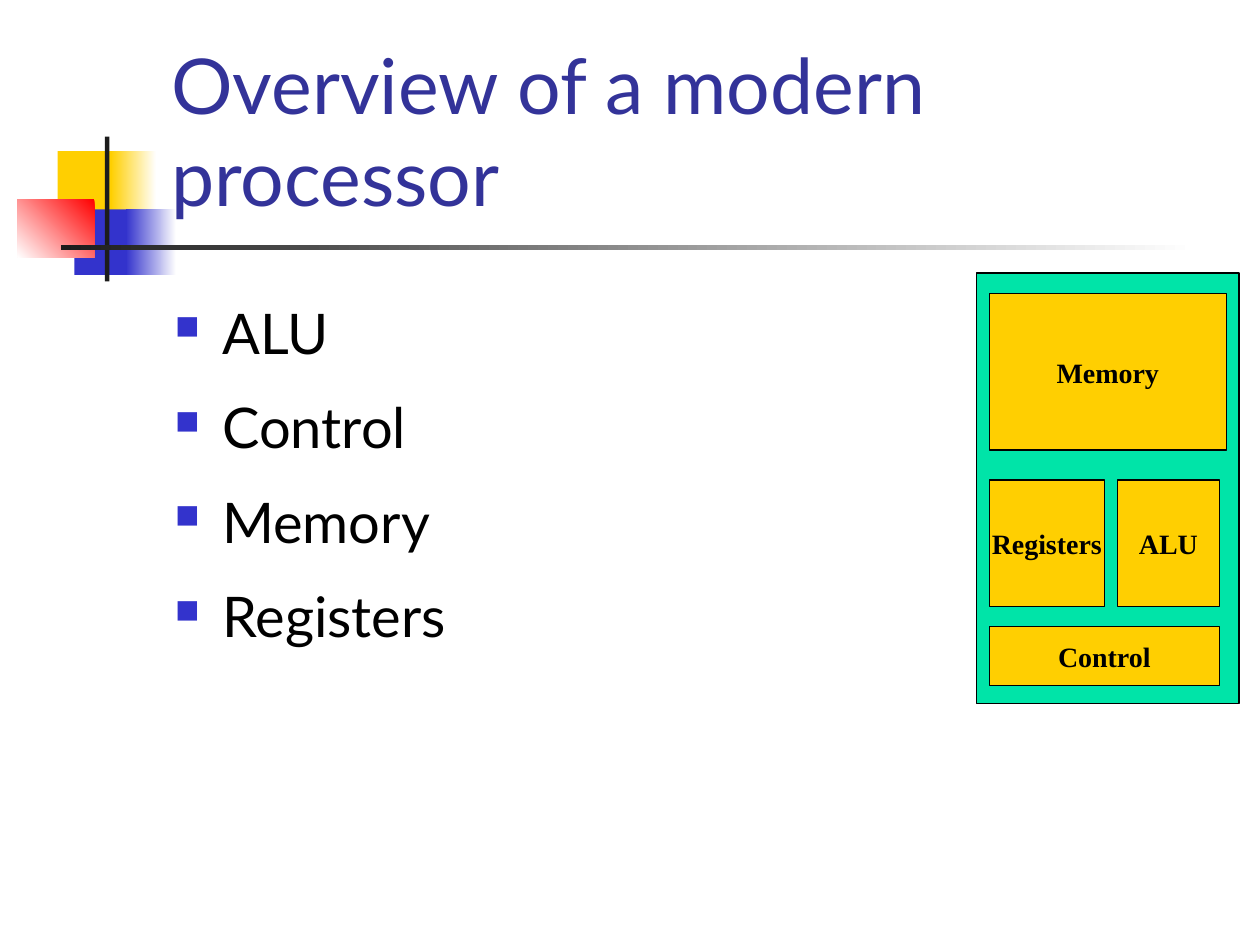
from lxml import etree
from pptx import Presentation
from pptx import util as u
from pptx.dml.color import RGBColor
from pptx.enum import shapes, text
from pptx.oxml import ns

WHITE = RGBColor(0xFF, 0xFF, 0xFF)
BLACK = RGBColor(0x00, 0x00, 0x00)
CHARCOAL = RGBColor(0x1C, 0x1C, 0x1C)
GOLD = RGBColor(0xFF, 0xCF, 0x01)
BLUE = RGBColor(0x33, 0x33, 0xCC)
INDIGO = RGBColor(0x33, 0x33, 0x99)
RED = RGBColor(0xFF, 0x00, 0x00)
GREEN = RGBColor(0x00, 0xE4, 0xA8)


def write_text(frame, lines, font="Lato", size=32, color=BLACK, bold=False,
               align=text.PP_ALIGN.LEFT, anchor=text.MSO_ANCHOR.TOP, wrap=True):
    frame.word_wrap = wrap
    frame.vertical_anchor = anchor
    for index, line in enumerate(lines):
        paragraph = frame.add_paragraph() if index else frame.paragraphs[0]
        paragraph.alignment = align
        run = paragraph.add_run()
        run.text = line
        run.font.name = font
        run.font.size = u.Pt(size)
        run.font.bold = bold
        run.font.color.rgb = color


class SlideBuilder:
    """Draws styled elements on one slide, with lengths in points."""

    def __init__(self, slide):
        self.slide = slide
        self.label_style = dict(font="Times New Roman", size=16, bold=True, wrap=False,
                                align=text.PP_ALIGN.CENTER, anchor=text.MSO_ANCHOR.MIDDLE)

    def rectangle(self, box, fill, outline=None):
        shape = self.slide.shapes.add_shape(shapes.MSO_SHAPE.RECTANGLE, *map(u.Pt, box))
        shape.shadow.inherit = False
        shape.fill.solid()
        shape.fill.fore_color.rgb = fill
        if outline is None:
            shape.line.fill.background()
        else:
            shape.line.color.rgb = outline
            shape.line.width = u.Pt(0.75)
        return shape

    def gradient(self, box, start, end, angle=180):
        shape = self.rectangle(box, start)
        shape.fill.gradient()
        shape.fill.gradient_angle = angle
        for stop, color in zip(shape.fill.gradient_stops, (start, end)):
            stop.color.rgb = color

    def unit(self, label, box):
        shape = self.rectangle(box, GOLD, BLACK)
        write_text(shape.text_frame, [label], **self.label_style)

    def text_box(self, box, lines, **style):
        shape = self.slide.shapes.add_textbox(*map(u.Pt, box))
        write_text(shape.text_frame, lines, **style)
        return shape

    def bullets(self, box, lines):
        shape = self.text_box(box, lines)
        for paragraph in shape.text_frame.paragraphs:
            paragraph.line_spacing = 1.2
            paragraph.space_before = u.Pt(8)
            properties = paragraph._p.get_or_add_pPr()
            properties.set("marL", str(u.Pt(27)))
            properties.set("indent", str(u.Pt(-27)))
            color = etree.SubElement(properties, ns.qn("a:buClr"))
            etree.SubElement(color, ns.qn("a:srgbClr"), val=str(BLUE))
            etree.SubElement(properties, ns.qn("a:buSzPct"), val="60000")
            etree.SubElement(properties, ns.qn("a:buChar"), char="■")


def main():
    presentation = Presentation()
    presentation.slide_width, presentation.slide_height = u.Pt(720), u.Pt(540)
    builder = SlideBuilder(presentation.slides.add_slide(presentation.slide_layouts[6]))

    builder.rectangle((33, 86.4, 34.6, 37.4), GOLD)
    builder.gradient((63.4, 86.4, 25.9, 37.4), WHITE, GOLD)
    builder.rectangle((42.5, 119.7, 33.1, 37.4), BLUE)
    builder.gradient((72, 119.7, 28.8, 37.4), WHITE, BLUE)
    builder.gradient((10, 113.8, 44, 33.3), RED, WHITE, angle=225)
    builder.rectangle((60, 78, 2.5, 82.8), CHARCOAL)
    builder.gradient((34.8, 140.2, 648, 2.5), WHITE, CHARCOAL)

    builder.text_box((90.7, 16.6, 613.4, 115.2), ["Overview of a modern processor"],
                     size=44, color=INDIGO, anchor=text.MSO_ANCHOR.MIDDLE)
    builder.bullets((92.9, 159.1, 612, 324), ["ALU", "Control", "Memory", "Registers"])

    builder.rectangle((558, 156, 150, 246), GREEN, BLACK)
    left, middle = 565.3, 274.3
    builder.unit("Memory", (left, 167.8, 135.4, 89.4))
    builder.unit("Registers", (left, middle, 65.8, 72.5))
    builder.unit("ALU", (638.5, middle, 58.3, 72.5))
    builder.unit("Control", (left, 358, 131.5, 33.8))

    presentation.save("out.pptx")


if __name__ == "__main__":
    main()
